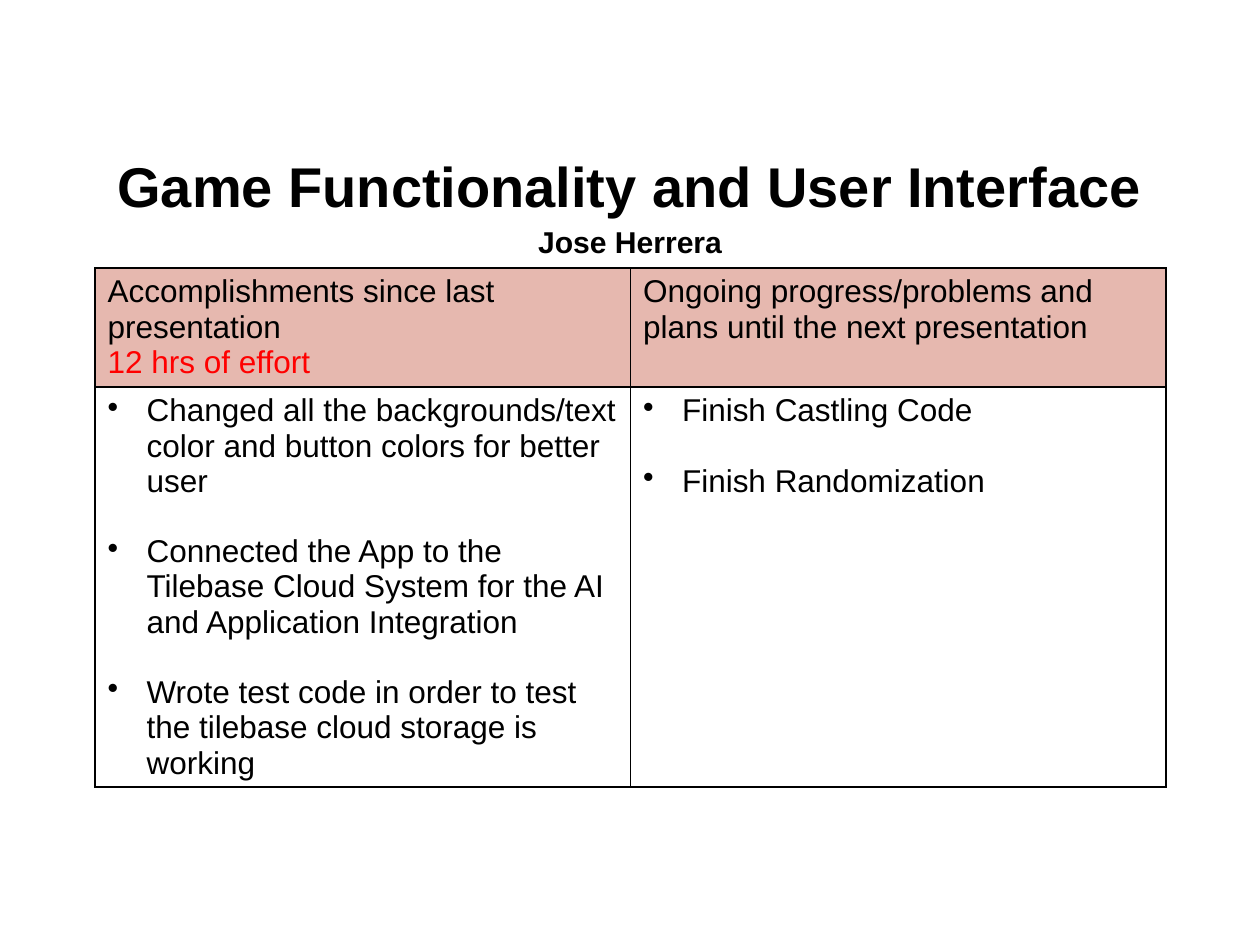
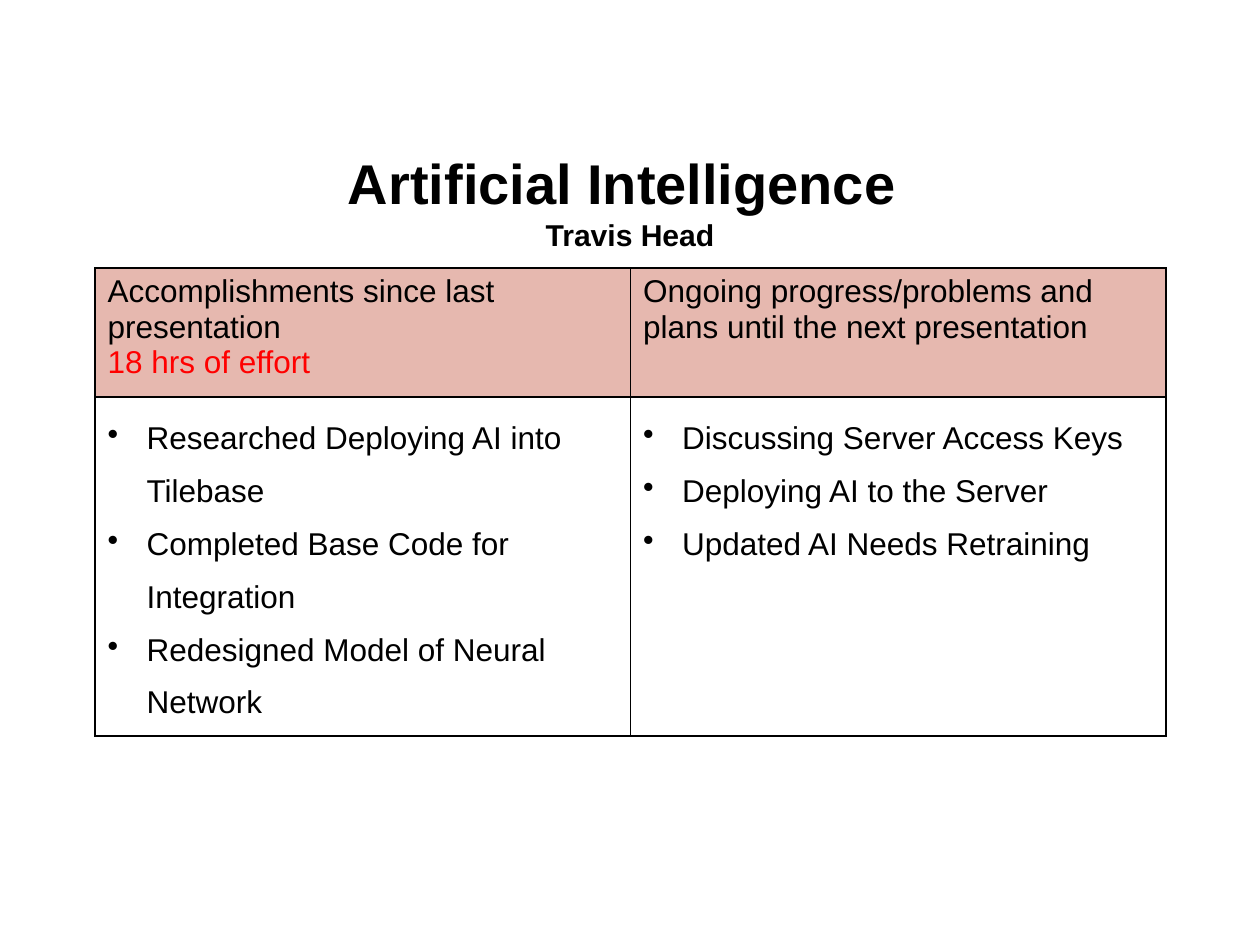
import pptx
import pptx.util
import pptx.dml.color
import pptx.enum.text
import pptx.oxml
import pptx.oxml.ns
import copy

WIDE, HIGH = 1260, 945
UNIT = 914400 / 126
INK, RED, ROSE = "000000", "FF0000", "E6B8AF"
TITLE_BOX = (63, 145, 1134, 111)
GRID_BOX = (95, 268, 1071)
HEAD = {"size": 32, "bold": True, "color": INK}
NAME = {"size": 17.2, "bold": True, "color": INK}
BODY = {"size": 18, "bold": False, "color": INK}
ALERT = {**BODY, "color": RED}
HEADS = ("Accomplishments since last presentation",
         "Ongoing progress/problems and plans until the next presentation")


def px(count):
    return pptx.util.Emu(round(count * UNIT))


def hue(code):
    return pptx.dml.color.RGBColor.from_string(code)


def put(thing, values):
    for key, value in values.items():
        setattr(thing, key, value)


def write(line, text, style):
    run = line.add_run()
    run.text = text
    put(run.font, {"name": "Arial", "size": pptx.util.Pt(style["size"]),
                   "bold": style["bold"]})
    run.font.color.rgb = hue(style["color"])
    return run


def title(slide, box, text, name, split, lead):
    shape = slide.shapes.title
    left, top, width, height = map(px, box)
    put(shape, {"left": left, "top": top, "width": width, "height": height})
    frame = shape.text_frame
    put(frame, {"word_wrap": True,
                "auto_size": pptx.enum.text.MSO_AUTO_SIZE.NONE,
                "vertical_anchor": pptx.enum.text.MSO_ANCHOR.MIDDLE})
    line = frame.paragraphs[0]
    run = write(line, text, HEAD)
    if split:
        line = frame.add_paragraph()
    else:
        line.add_line_break()
        line._p[-1].append(copy.deepcopy(run._r.rPr))
    write(line, name, NAME)
    for line in frame.paragraphs:
        put(line, {"alignment": pptx.enum.text.PP_ALIGN.CENTER,
                   "line_spacing": lead})


def border(cell):
    props = cell._tc.get_or_add_tcPr()
    for side in ("lnL", "lnR", "lnT", "lnB"):
        props.append(pptx.oxml.parse_xml(
            f'<a:{side} {pptx.oxml.ns.nsdecls("a")} w="12700"><a:solidFill>'
            f'<a:srgbClr val="{INK}"/></a:solidFill></a:{side}>'))


def bullet(line):
    props = line._p.get_or_add_pPr()
    for key, value in (("marL", px(39)), ("indent", -px(39))):
        props.set(key, str(value))
    props.append(pptx.oxml.parse_xml(
        f'<a:buChar {pptx.oxml.ns.nsdecls("a")} char="&#8226;"/>'))


def fill(cell, items, lead, gap):
    frame = cell.text_frame
    for spot, text in enumerate(items):
        line = frame.add_paragraph() if spot else frame.paragraphs[0]
        last = spot == len(items) - 1
        put(line, {"line_spacing": lead,
                   "space_after": pptx.util.Pt(0 if last else gap)})
        bullet(line)
        write(line, text, BODY)


def grid(slide, box, rows, hours, lists, lead, gap):
    left, top, width = box
    table = slide.shapes.add_table(
        2, 2, px(left), px(top), px(width), px(sum(rows))).table
    put(table, {"first_row": False, "horz_banding": False})
    for row, height in zip(table.rows, rows):
        row.height = px(height)
    for col in table.columns:
        col.width = px(width / 2)
    for cell in table.iter_cells():
        border(cell)
        cell.fill.background()
    for spot, (head, items) in enumerate(zip(HEADS, lists)):
        cell = table.cell(0, spot)
        cell.fill.solid()
        cell.fill.fore_color.rgb = hue(ROSE)
        write(cell.text_frame.paragraphs[0], head, BODY)
        fill(table.cell(1, spot), items, lead, gap)
    write(table.cell(0, 0).text_frame.add_paragraph(),
          f"{hours} hrs of effort", ALERT)


def report(deck, head, body):
    slide = deck.slides.add_slide(deck.slide_layouts.get_by_name("Title Only"))
    for shape in list(slide.placeholders):
        if shape.placeholder_format.idx:
            shape._element.getparent().remove(shape._element)
    title(slide, TITLE_BOX, **head)
    grid(slide, GRID_BOX, **body)


deck = pptx.Presentation()
put(deck, {"slide_width": px(WIDE), "slide_height": px(HIGH)})
report(
    deck,
    {"text": "Game Functionality and User Interface", "name": "Jose Herrera",
     "split": True, "lead": 1.15},
    {"rows": (119, 400), "hours": 12, "lead": 1.0, "gap": 20, "lists": (
        ("Changed all the backgrounds/text color and button colors "
         "for better user",
         "Connected the App to the Tilebase Cloud System for the AI "
         "and Application Integration",
         "Wrote test code in order to test the tilebase cloud storage "
         "is working"),
        ("Finish Castling Code", "Finish Randomization"))})
report(
    deck,
    {"text": "Artificial Intelligence ", "name": "Travis Head",
     "split": False, "lead": 1.0},
    {"rows": (129, 339), "hours": 18, "lead": 1.5, "gap": 0, "lists": (
        ("Researched Deploying AI into Tilebase",
         "Completed Base Code for Integration",
         "Redesigned Model of Neural Network"),
        ("Discussing Server Access Keys", "Deploying AI to the Server",
         "Updated AI Needs Retraining"))})
deck.save("out.pptx")
